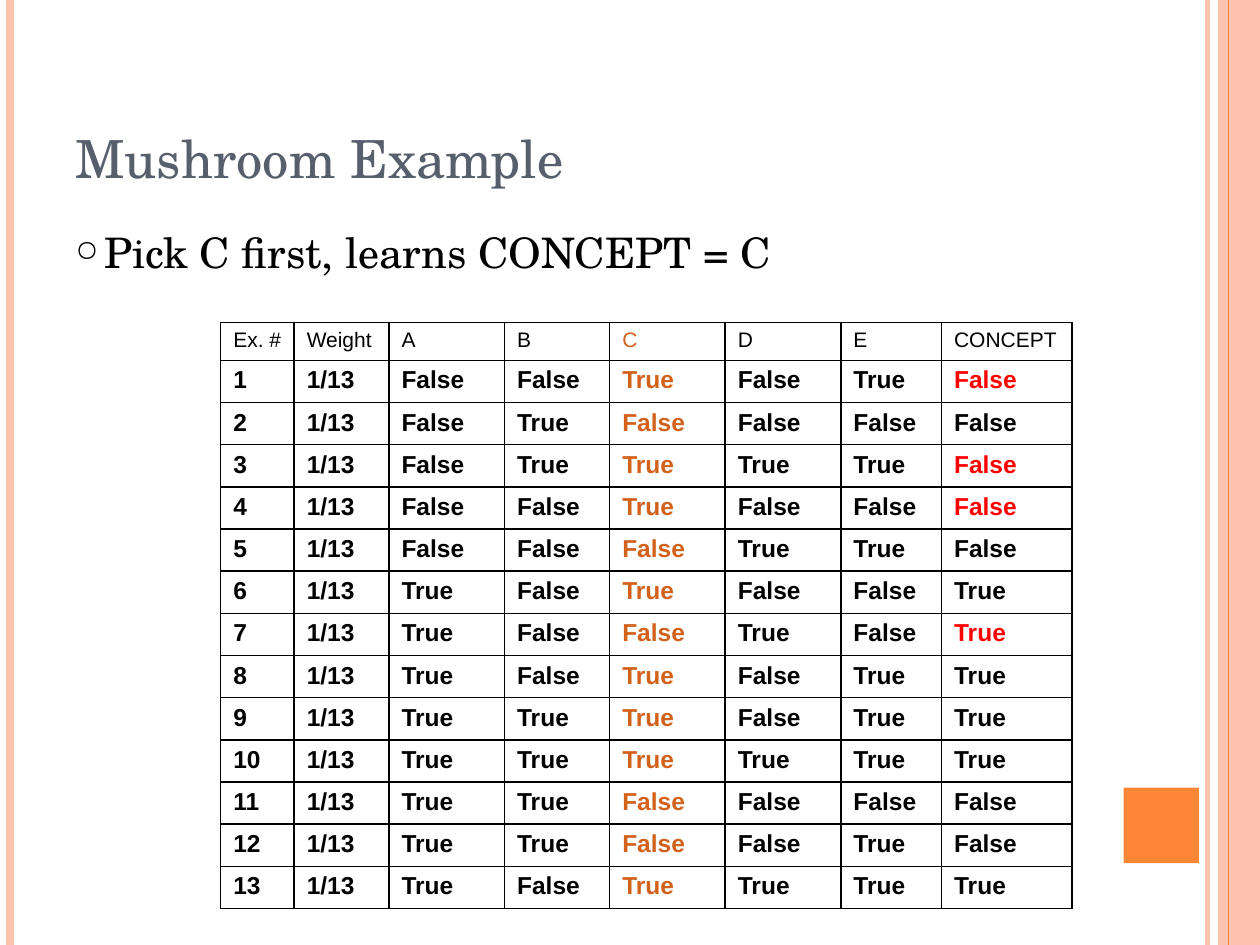
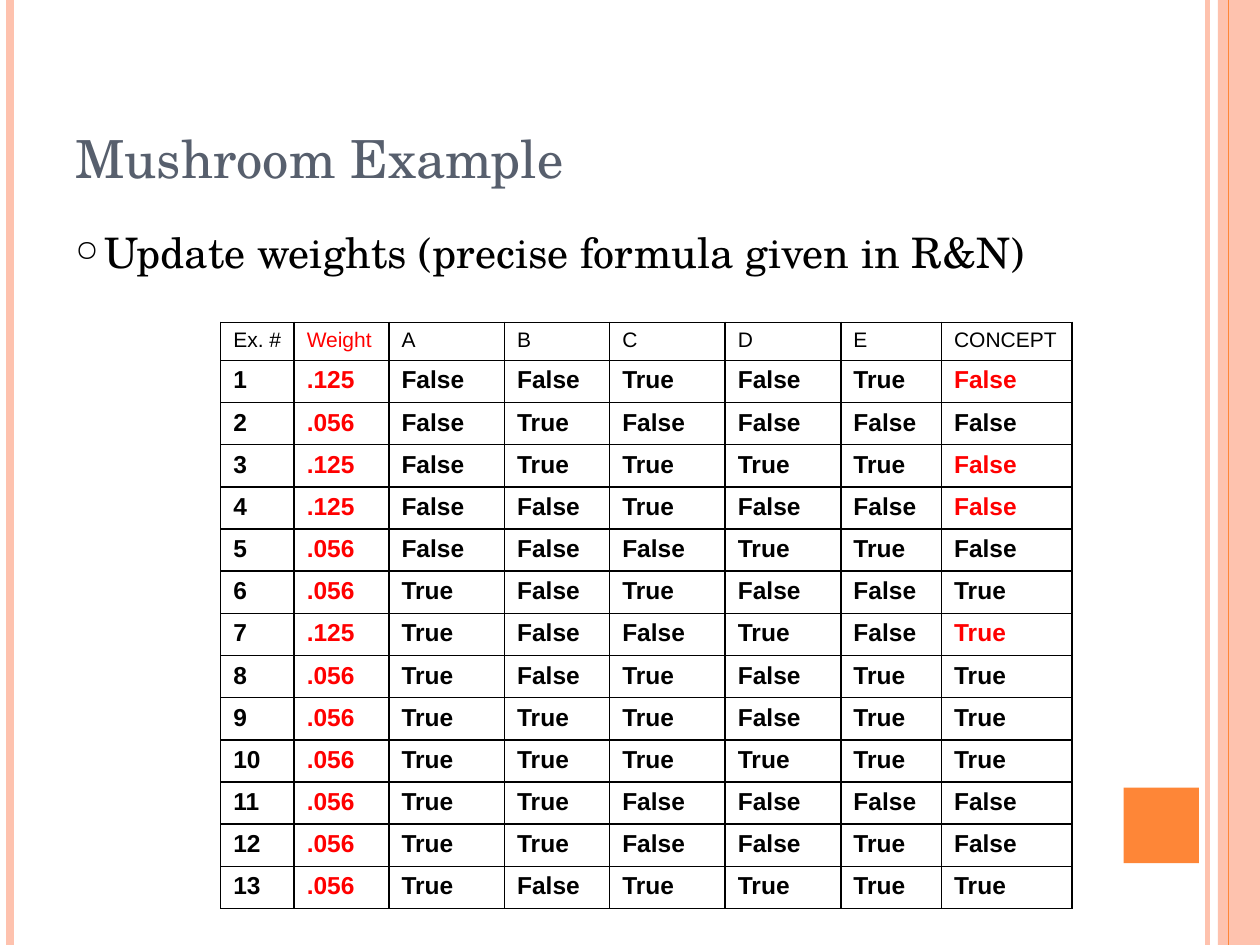
"""Build two slides on weighting mushroom examples after a first guess."""
from lxml.etree import SubElement
from pptx import Presentation
from pptx.dml.color import RGBColor
from pptx.enum.shapes import MSO_CONNECTOR, MSO_SHAPE
from pptx.enum.text import MSO_ANCHOR
from pptx.oxml.ns import qn
from pptx.util import Cm, Pt

PEACH, ORANGE, RUST = "FEC2AE", "FE8637", "D2611C"
SLATE, BLACK, RED = "575F6D", "000000", "FF0000"
SERIF, SANS = "TeX Gyre Schola", "Arial"
WIDE, HIGH = 25.4, 19.05

BARS = [(24.34, PEACH, 3), (0.21, PEACH, 4.5), (24.77, ORANGE, 0.75)]
BLOCKS = [(24.55, 0, 0.85, HIGH, PEACH), (22.65, 15.88, 1.52, 1.52, ORANGE)]
HEADS = ["Ex. #", "Weight", "A", "B", "C", "D", "E", "CONCEPT"]
COLS = [1.48, 1.91, 2.33, 2.12, 2.33, 2.33, 2.03, 2.63]
HEAD_ROW, ROW = 0.76, 0.85
FACTS = ["FFTFTF", "FTFFFF", "FTTTTF", "FFTFFF", "FFFTTF", "TFTFFT", "TFFTFT",
         "TFTFTT", "TTTFTT", "TTTTTT", "TTFFFF", "TTFFTF", "TFTTTT"]
WORDS = {"T": "True", "F": "False"}

SLIDES = [
    ("Pick C first, learns CONCEPT = C", "C", RUST, "1/13", "1/13"),
    ("Update weights (precise formula given in R&N)", "Weight", RED, ".125", ".056"),
]


def color(code):
    return RGBColor.from_string(code)


def write(frame, text, font, size, code, bold=False):
    frame.text = text
    run = frame.paragraphs[0].runs[0]
    run.font.name, run.font.size, run.font.bold = font, Pt(size), bold
    run.font.color.rgb = color(code)


deck = Presentation()
deck.slide_width, deck.slide_height = Cm(WIDE), Cm(HIGH)

for point, focus, tint, missed, hit in SLIDES:
    slide = deck.slides.add_slide(deck.slide_layouts[6])
    shapes = slide.shapes

    for left, top, width, height, code in BLOCKS:
        block = shapes.add_shape(MSO_SHAPE.RECTANGLE, Cm(left), Cm(top), Cm(width), Cm(height))
        block.shadow.inherit = False
        block.fill.solid()
        block.fill.fore_color.rgb = color(code)
        block.line.fill.background()

    for left, code, weight in BARS:
        bar = shapes.add_connector(MSO_CONNECTOR.STRAIGHT, Cm(left), 0, Cm(left), Cm(HIGH))
        bar.line.color.rgb = color(code)
        bar.line.width = Pt(weight)
        SubElement(bar._element.spPr, qn("a:effectLst"))

    title = shapes.add_textbox(Cm(1.27), Cm(0.76), Cm(20.75), Cm(3.18)).text_frame
    title.word_wrap = True
    title.vertical_anchor = MSO_ANCHOR.BOTTOM
    write(title, "Mushroom Example", SERIF, 30, SLATE)

    body = shapes.add_textbox(Cm(1.27), Cm(4.45), Cm(20.75), Cm(13.54)).text_frame
    body.word_wrap = True
    write(body, point, SERIF, 24, BLACK)
    props = body.paragraphs[0]._p.get_or_add_pPr()
    props.set("marL", str(Cm(0.58)))
    props.set("indent", str(-Cm(0.58)))
    SubElement(props, qn("a:buSzPct"), val="70000")
    SubElement(props, qn("a:buChar"), char="○")

    rows = [HEADS]
    for number, facts in enumerate(FACTS, 1):
        share = hit if facts[2] == facts[5] else missed
        rows.append([str(number), share] + [WORDS[fact] for fact in facts])

    table = shapes.add_table(len(rows), len(COLS), Cm(4.45), Cm(6.5), Cm(sum(COLS)),
                             Cm(HEAD_ROW + ROW * len(FACTS))).table
    table.first_row = table.horz_banding = False
    for column, width in zip(table.columns, COLS):
        column.width = Cm(width)

    for r, row in enumerate(rows):
        table.rows[r].height = Cm(ROW if r else HEAD_ROW)
        for c, text in enumerate(row):
            wrong = r and HEADS[c] == "CONCEPT" and row[4] != text
            code = tint if HEADS[c] == focus else RED if wrong else BLACK
            cell = table.cell(r, c)
            write(cell.text_frame, text, SANS, 14 if r else 12, code, r > 0)
            edges = cell._tc.get_or_add_tcPr()
            for side in "LRTB":
                edge = SubElement(edges, qn(f"a:ln{side}"), w=str(Pt(1)))
                SubElement(SubElement(edge, qn("a:solidFill")), qn("a:srgbClr"), val=BLACK)
            cell.fill.background()

deck.save("out.pptx")
